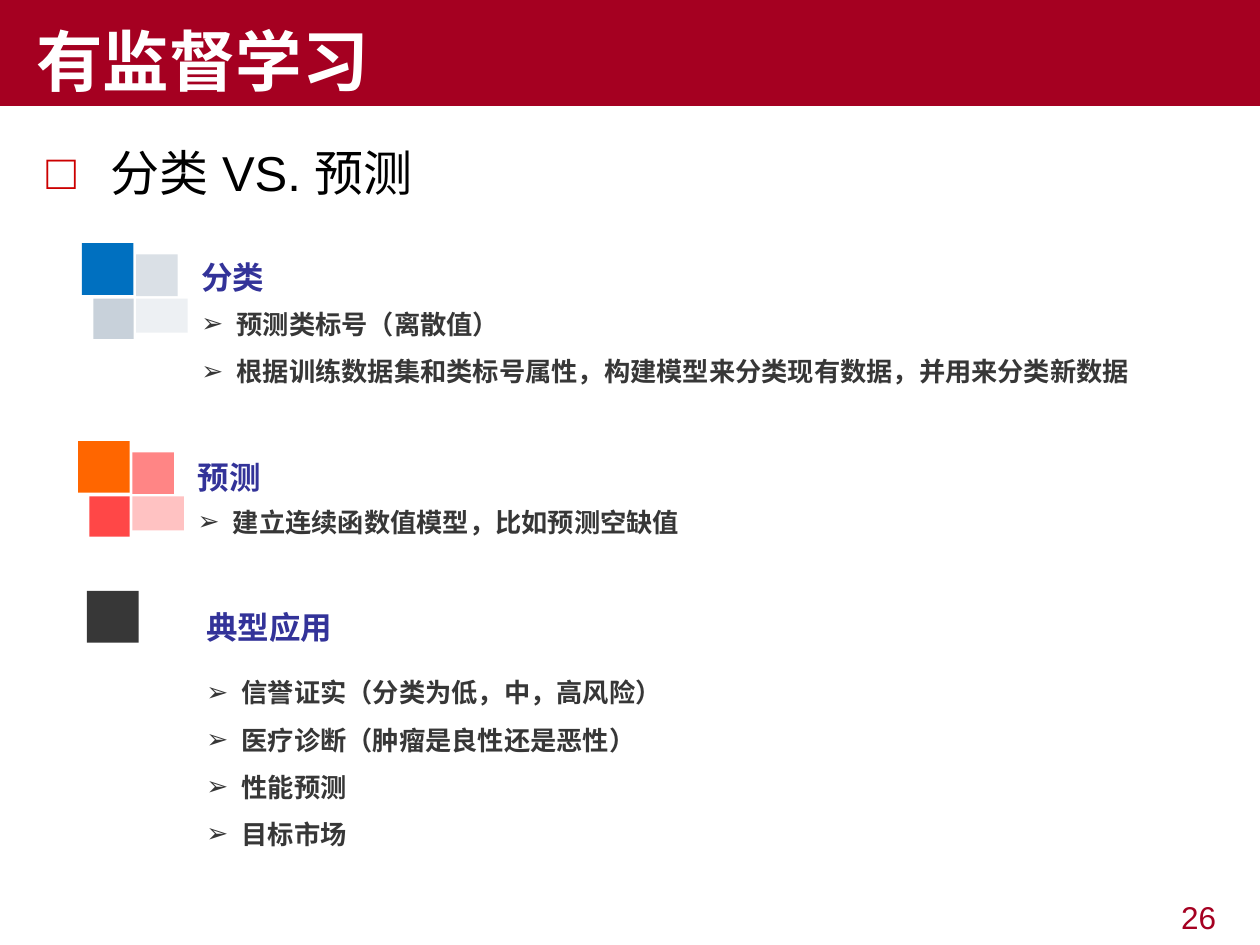
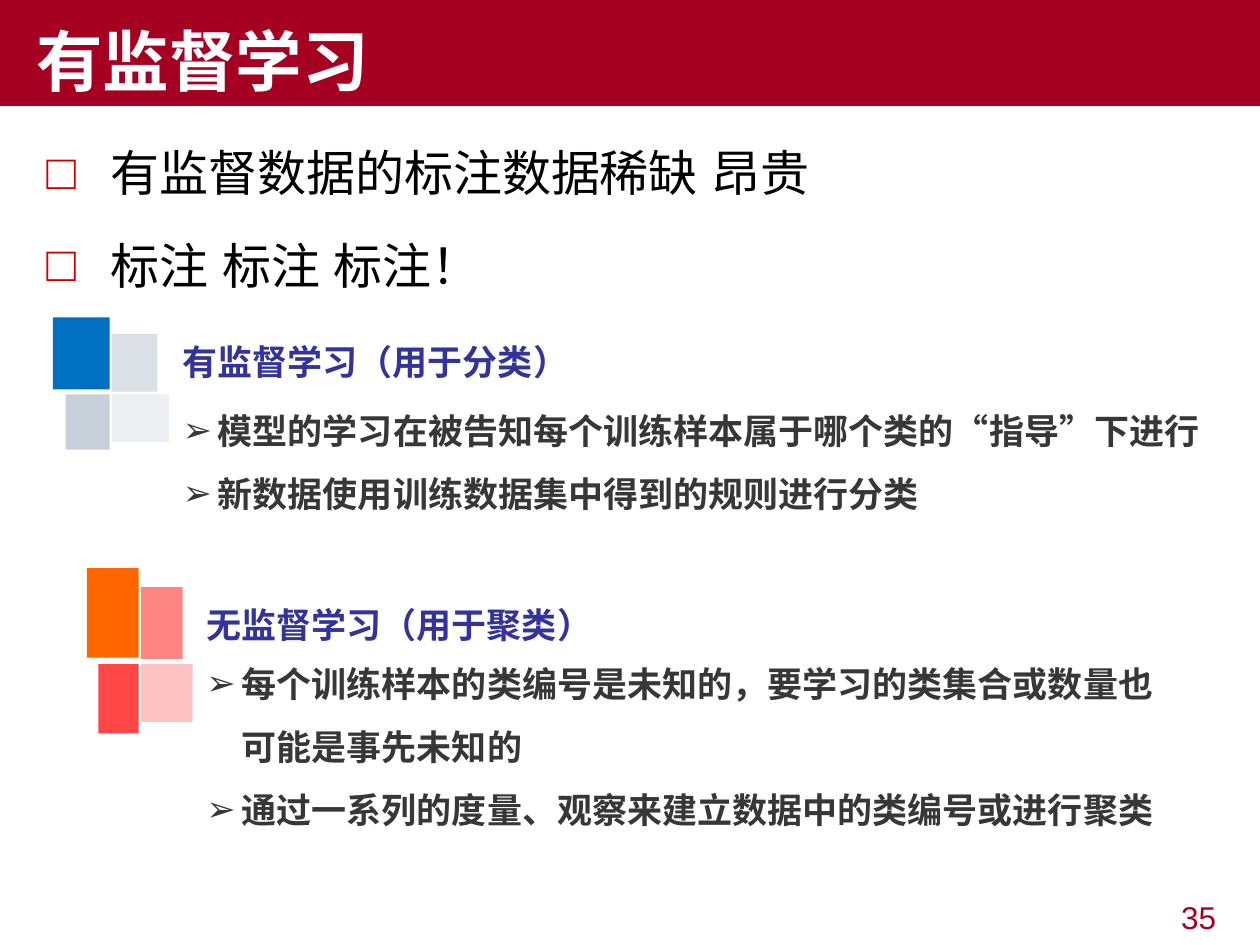
from lxml import etree
from pptx import Presentation
from pptx.dml.color import RGBColor
from pptx.enum.shapes import MSO_SHAPE
from pptx.enum.text import MSO_ANCHOR, MSO_AUTO_SIZE, PP_ALIGN
from pptx.oxml.ns import qn
from pptx.util import Pt

RECTANGLE = MSO_SHAPE.RECTANGLE
TOP, MIDDLE, BOTTOM = MSO_ANCHOR.TOP, MSO_ANCHOR.MIDDLE, MSO_ANCHOR.BOTTOM
LEFT, RIGHT = PP_ALIGN.LEFT, PP_ALIGN.RIGHT
GROW = MSO_AUTO_SIZE.SHAPE_TO_FIT_TEXT

EMU_PER_PX = 9144
WIDTH, HEIGHT = 1000, 750
LATIN, CJK = "Arial", "Noto Sans CJK SC"
COLORS = {
    "crimson": "A50021", "white": "FFFFFF", "black": "000000",
    "bullet": "CC0000", "heading": "333399", "ink": "373737",
}
BLUE_TILES = ["0070C0", "DAE0E6", "C8D1DA", "EDF0F3"]
ORANGE_TILES = ["FF6600", "FF8585", "FF4747", "FFC2C2"]
DARK_TILE = [COLORS["ink"]]
# Left, top, width and height of each tile within an unscaled cluster
TILE_GRID = [(0, 0, 41, 41), (43, 9, 33, 33), (9, 44, 32, 32), (43, 44, 41, 27)]


def px(length):
    return round(length) * EMU_PER_PX


class Deck:
    """Holds the shared style and the slide being filled."""

    def __init__(self):
        self.prs = Presentation()
        self.prs.slide_width, self.prs.slide_height = px(WIDTH), px(HEIGHT)
        self.slide = None

    def new_slide(self, title, number):
        self.slide = self.prs.slides.add_slide(self.prs.slide_layouts[6])
        band = self.rect((0, 0, WIDTH, 84), COLORS["crimson"])
        self.fill_text(band.text_frame, [title], 38, "white", bold=True,
                       anchor=BOTTOM, indent=(0, 19))
        self.text((758, 708, 217, 39), [str(number)], 18, "crimson", align=RIGHT)

    def rect(self, box, fill):
        shape = self.slide.shapes.add_shape(RECTANGLE, *map(px, box))
        shape.shadow.inherit = False
        shape.fill.solid()
        shape.fill.fore_color.rgb = RGBColor.from_string(fill)
        shape.line.fill.background()
        return shape

    def text(self, box, lines, size, color, grow=False, **style):
        frame = self.slide.shapes.add_textbox(*map(px, box)).text_frame
        self.fill_text(frame, lines, size, color, **style)
        if grow:
            frame.auto_size = GROW

    def fill_text(self, frame, lines, size, color, font=LATIN, bold=False,
                  anchor=TOP, align=LEFT, spacing=None, gap=0, indent=None,
                  bullet=None, bullet_color=None):
        frame.word_wrap = True
        frame.vertical_anchor = anchor
        for index, line in enumerate(lines):
            paragraph = frame.add_paragraph() if index else frame.paragraphs[0]
            paragraph.alignment = align
            if spacing:
                paragraph.line_spacing = spacing
            if index and gap:
                paragraph.space_before = Pt(gap)
            self.indent(paragraph, indent, bullet, bullet_color)
            run = paragraph.add_run()
            run.text = line
            run.font.size, run.font.bold, run.font.name = Pt(size), bold, font
            run.font.color.rgb = RGBColor.from_string(COLORS[color])
            east_asian = etree.SubElement(run.font._element, qn("a:ea"))
            east_asian.set("typeface", font)

    def indent(self, paragraph, indent, bullet, bullet_color):
        """Set the left margin and first-line indent, and the bullet if any."""
        properties = paragraph._p.get_or_add_pPr()
        if indent:
            properties.set("marL", str(px(indent[0])))
            properties.set("indent", str(px(indent[1])))
        if bullet_color:
            holder = etree.SubElement(properties, qn("a:buClr"))
            etree.SubElement(holder, qn("a:srgbClr")).set("val", COLORS[bullet_color])
        if bullet:
            etree.SubElement(properties, qn("a:buFont")).set("typeface", LATIN)
            etree.SubElement(properties, qn("a:buChar")).set("char", bullet)

    def key_points(self, lines, height):
        self.text((27, 99, 945, height), lines, 28, "black", spacing=1.2, gap=12.5,
                  indent=(51, -51), bullet="□", bullet_color="bullet")

    def tiles(self, left, top, fills, scale=(1, 1)):
        across, down = scale
        for (x, y, width, height), fill in zip(TILE_GRID, fills):
            self.rect((left + x * across, top + y * down,
                       width * across, height * down), fill)

    def section(self, heading, heading_box, details, details_box, sizes):
        style = {"font": CJK, "bold": True, "anchor": MIDDLE, "spacing": 1.5,
                 "grow": True}
        self.text(heading_box, [heading], sizes[0], "heading", **style)
        self.text(details_box, details, sizes[1], "ink", indent=(28, -28),
                  bullet="➢", **style)


def classification_versus_prediction(deck):
    deck.new_slide("有监督学习", 26)
    deck.key_points(["分类 VS. 预测"], 75)
    sizes = (18, 15)

    deck.tiles(65, 193, BLUE_TILES)
    deck.section("分类", (150, 187, 552, 50),
                 ["预测类标号（离散值）",
                  "根据训练数据集和类标号属性，构建模型来分类现有数据，并用来分类新数据"],
                 (150, 229, 777, 81), sizes)

    deck.tiles(62, 350, ORANGE_TILES)
    deck.section("预测", (147, 346, 552, 50),
                 ["建立连续函数值模型，比如预测空缺值"],
                 (147, 386, 777, 44), sizes)

    deck.tiles(69, 469, DARK_TILE)
    deck.section("典型应用", (154, 465, 552, 50),
                 ["信誉证实（分类为低，中，高风险）", "医疗诊断（肿瘤是良性还是恶性）",
                  "性能预测", "目标市场"],
                 (154, 521, 796, 157), sizes)


def labelling_cost(deck):
    deck.new_slide("有监督学习", 35)
    deck.key_points(["有监督数据的标注数据稀缺 昂贵", "标注 标注 标注！"], 147)
    sizes = (20, 20)

    deck.tiles(42, 252, BLUE_TILES, scale=(1.1, 1.39))
    deck.section("有监督学习（用于分类）", (135, 251, 605, 55),
                 ["模型的学习在被告知每个训练样本属于哪个类的“指导”下进行",
                  "新数据使用训练数据集中得到的规则进行分类"],
                 (135, 280, 852, 156), sizes)

    deck.tiles(69, 451, ORANGE_TILES, scale=(1, 1.72))
    deck.section("无监督学习（用于聚类）", (154, 440, 552, 94),
                 ["每个训练样本的类编号是未知的，要学习的类集合或数量也可能是事先未知的",
                  "通过一系列的度量、观察来建立数据中的类编号或进行聚类"],
                 (154, 451, 777, 267), sizes)


def main():
    deck = Deck()
    classification_versus_prediction(deck)
    labelling_cost(deck)
    deck.prs.save("out.pptx")


if __name__ == "__main__":
    main()
